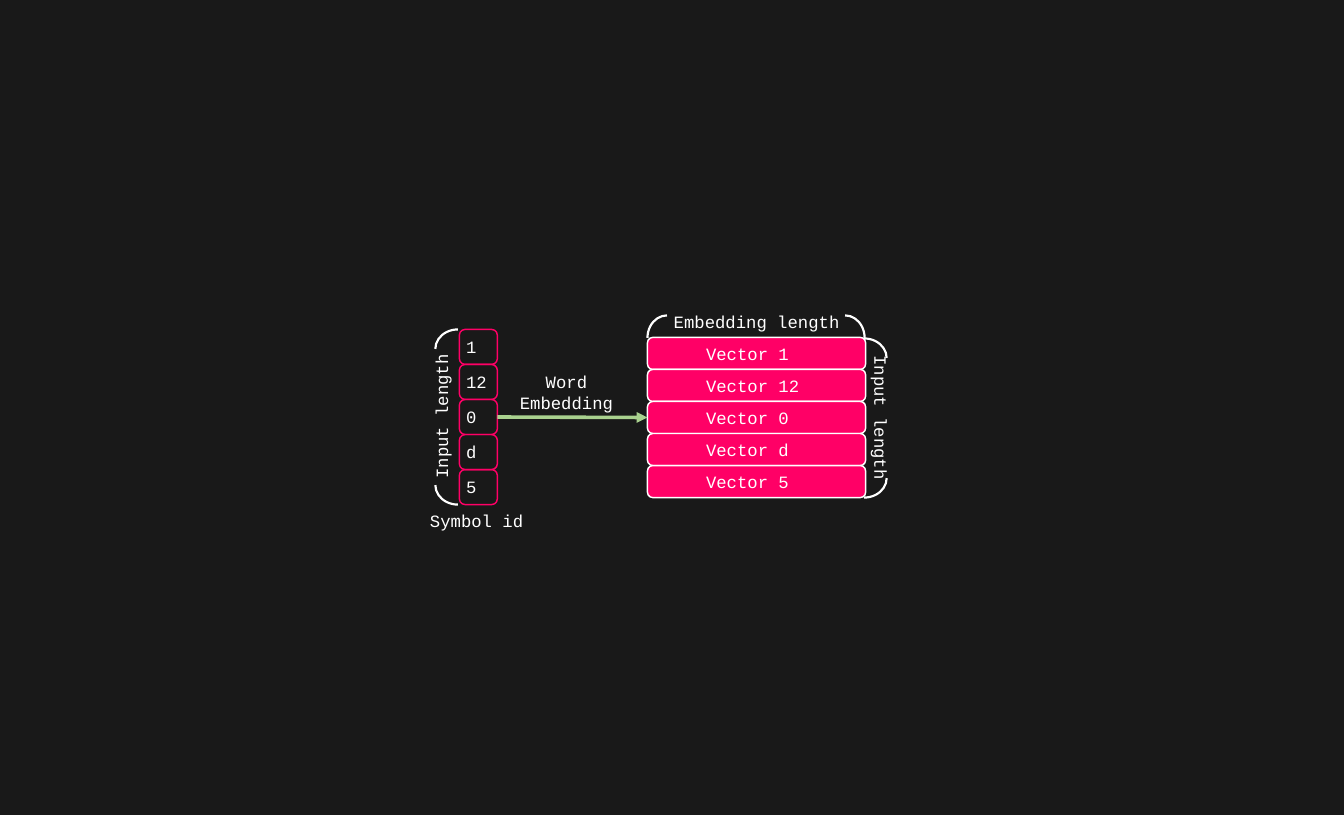
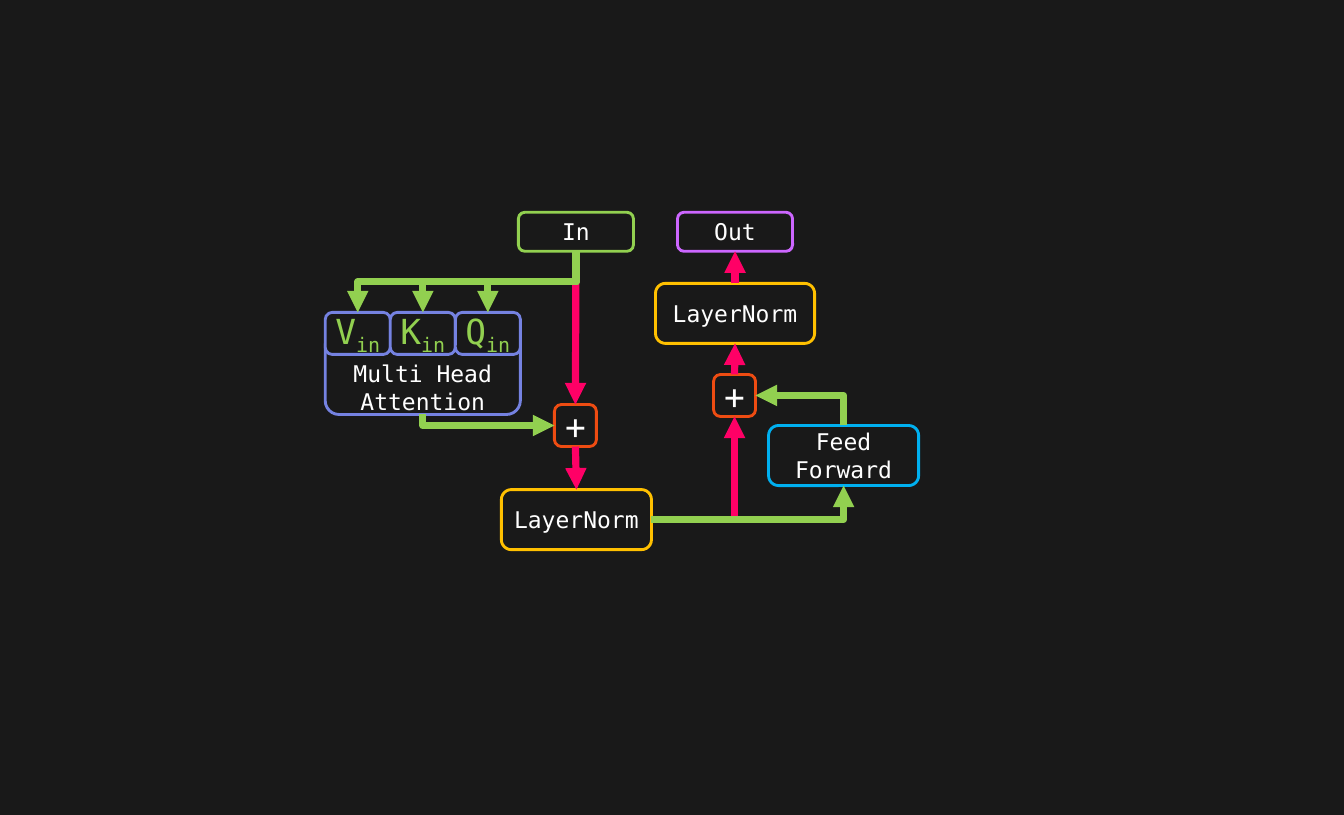
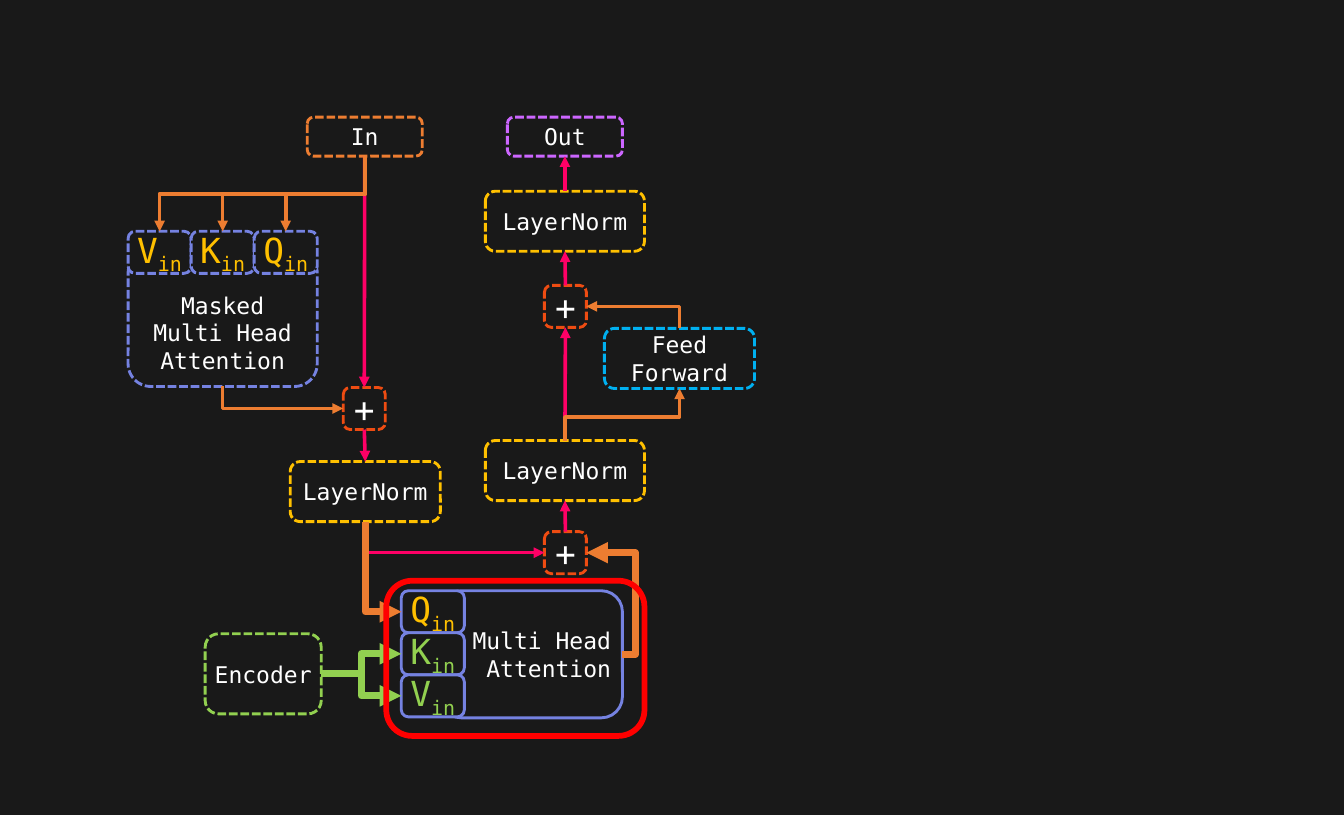
from lxml.etree import SubElement
from pptx import Presentation
from pptx.dml.color import RGBColor
from pptx.enum.dml import MSO_LINE
from pptx.enum.shapes import MSO_CONNECTOR, MSO_SHAPE
from pptx.enum.text import MSO_ANCHOR, PP_ALIGN
from pptx.oxml.ns import qn
from pptx.util import Pt

PX = 17687
ROUND, ARC = MSO_SHAPE.ROUNDED_RECTANGLE, MSO_SHAPE.ARC
ELBOW, DASH = MSO_CONNECTOR.ELBOW, MSO_LINE.SQUARE_DOT
MIDDLE = MSO_ANCHOR.MIDDLE
LEFT, CENTER, RIGHT = PP_ALIGN.LEFT, PP_ALIGN.CENTER, PP_ALIGN.RIGHT
TOP, WEST, BASE, EAST = range(4)
DARK, WHITE, PINK, GREEN = "191919", "FFFFFF", "FF0066", "92D050"
ORANGE, GOLD, BLUE, VIOLET = "ED7D31", "FFC000", "7582E1", "CC66FF"
RUST, SKY, RED, LIME = "EE4C12", "00B0F0", "FF0000", "A9D18E"
rgb = RGBColor.from_string

prs = Presentation()
prs.slide_width, prs.slide_height = 1343 * PX, 814 * PX
back = prs.slide_master.background.fill
back.solid()
back.fore_color.rgb = rgb(DARK)
blank = prs.slide_layouts[6]
plain = {"kind": ROUND, "fill": None, "pts": 4, "dash": None, "align": CENTER,
         "size": 32, "face": "DejaVu Sans Mono", "tint": WHITE, "pad": {},
         "turn": 0, "flip": False}


def box(text, x, y, w, h, edge=None, **look):
    look = plain | look
    shape = slide.shapes.add_shape(look["kind"], x * PX, y * PX, w * PX, h * PX)
    shape.shadow.inherit = False
    shape.rotation = look["turn"]
    if look["flip"]:
        shape._element.spPr.find(qn("a:xfrm")).set("flipH", "1")
    for part, tint in ((shape.fill, look["fill"]), (shape.line.fill, edge)):
        if tint:
            part.solid()
            part.fore_color.rgb = rgb(tint)
        else:
            part.background()
    if edge:
        shape.line.width = Pt(look["pts"])
        shape.line.dash_style = look["dash"]
    frame = shape.text_frame
    frame.word_wrap = True
    frame.vertical_anchor = MIDDLE
    for side, gap in look["pad"].items():
        setattr(frame, "margin_" + side, gap * PX)
    para = frame.paragraphs[0]
    para.alignment = look["align"]
    for level, word in enumerate(text.split("_") if text else []):
        run = para.add_run()
        run.text = word
        for key, value in {"size": Pt(look["size"]), "name": look["face"]}.items():
            setattr(run.font, key, value)
        run.font.color.rgb = rgb(look["tint"])
        if level:
            run._r.get_or_add_rPr().set("baseline", "-25000")
    return shape


def link(start, exit, end, entry, tint, pts, bend=50):
    line = slide.shapes.add_connector(ELBOW, 0, 0, 0, 0)
    line.begin_connect(start, exit)
    line.end_connect(end, entry)
    dx, dy = line.end_x - line.begin_x, line.end_y - line.begin_y
    props = line._element.spPr
    geom = props.find(qn("a:prstGeom"))
    if min(abs(dx), abs(dy)) < 5 * PX:
        geom.set("prst", "line")
    else:
        if (exit - entry) % 2:
            geom.set("prst", "bentConnector2")
        elif bend != 50:
            SubElement(geom.find(qn("a:avLst")), qn("a:gd"),
                       name="adj1", fmla=f"val {round(bend * 1000)}")
        if exit in (TOP, BASE):
            wide, high = line.width, line.height
            line.left += (wide - high) // 2
            line.top += (high - wide) // 2
            line.width, line.height = high, wide
            xfrm = props.find(qn("a:xfrm"))
            xfrm.set("rot", "16200000" if dx * dy > 0 else "5400000")
            xfrm.set("flipH", str(int(dx > 0)))
            xfrm.set("flipV", str(int(dy < 0)))
    line.line.width = Pt(pts)
    line.line.color.rgb = rgb(tint)
    SubElement(props.find(qn("a:ln")), qn("a:tailEnd"), type="triangle")
    SubElement(props, qn("a:effectLst"))


slide = prs.slides.add_slide(blank)
code = {"size": 24, "face": "Courier New", "pts": 2}
cells, rows = [], []
for i, name in enumerate(["1", "12", "0", "d", "5"]):
    cells.append(box(name, 459, 329 + 35 * i, 38, 35, PINK, align=LEFT, **code))
    rows.append(box("Vector " + name, 647, 337 + 32 * i, 218, 32, WHITE,
                    fill=PINK, align=LEFT, pad={"left": 57}, **code))
for text, x, y, w, h, turn, align in [
    ("Embedding length", 647, 305, 218, 32, 0, CENTER),
    ("Input length", 349, 400, 184, 32, 270, CENTER),
    ("Input length", 809, 401, 143, 32, 90, CENTER),
    ("Word Embedding", 511, 363, 110, 57, 0, CENTER),
    ("Symbol id", 423, 504, 109, 32, 0, LEFT),
]:
    box(text, x, y, w, h, turn=turn, align=align, **code)
for x, y, turn, flip in [
    (825, 315, 0, False), (647, 315, 0, True),
    (438, 326, 270, False), (438, 462, 270, True),
    (844, 455, 90, False), (844, 335, 90, True),
]:
    box("", x, y, 39, 45, WHITE, kind=ARC, pts=3, turn=turn, flip=flip)
link(cells[2], EAST, rows[2], WEST, LIME, 5)

slide = prs.slides.add_slide(blank)
source = box("In", 518, 212, 115, 39, GREEN)
out = box("Out", 677, 212, 115, 39, VIOLET)
heads = box("Multi Head Attention", 325, 331, 195, 83, BLUE, pad={"top": 31})
feed = box("Feed Forward", 768, 425, 150, 60, SKY)
add = box("+", 554, 404, 42, 42, RUST, size=48)
norm = box("LayerNorm", 501, 489, 150, 60, GOLD)
sum_up = box("+", 713, 374, 42, 42, RUST, size=48)
last = box("LayerNorm", 655, 283, 159, 60, GOLD)
ports = [box(name + "_in", 325 + 65 * i, 312, 65, 42, BLUE, fill=DARK, size=48, tint=GREEN)
         for i, name in enumerate("VKQ")]
for ends in [
    (source, BASE, add, TOP), (add, BASE, norm, TOP), (norm, EAST, sum_up, BASE),
    (sum_up, TOP, last, BASE), (last, TOP, out, BASE),
]:
    link(*ends, PINK, 10)
for ends in [
    *((source, BASE, port, TOP) for port in ports),
    (heads, BASE, add, WEST), (norm, EAST, feed, BASE), (feed, TOP, sum_up, EAST),
]:
    link(*ends, GREEN, 10)

slide = prs.slides.add_slide(blank)
dots = {"dash": DASH}
source = box("In", 307, 117, 115, 39, ORANGE, **dots)
out = box("Out", 507, 117, 115, 39, VIOLET, **dots)
feed = box("Feed Forward", 604, 328, 150, 60, SKY, **dots)
coder = box("Encoder", 205, 633, 116, 80, GREEN, **dots)
norm = box("LayerNorm", 290, 461, 150, 60, GOLD, **dots)
mid, last = [box("LayerNorm", 485, y, 159, 60, GOLD, **dots) for y in (440, 191)]
add, cross, sum_up = [box("+", x, y, 42, 42, RUST, size=48, **dots)
                      for x, y in ((343, 387), (544, 531), (544, 285))]
masked = box("Masked Multi Head Attention", 128, 250, 189, 136, BLUE,
             pad={"top": 31}, **dots)
heads = box("Multi Head Attention", 440, 590, 182, 127, BLUE, align=RIGHT)
ports = [box(name + "_in", 128 + 63 * i, 231, 63, 42, BLUE, fill=DARK, size=48,
             tint=GOLD, **dots) for i, name in enumerate("VKQ")]
query, key, value = [
    box(name + "_in", 401, 590 + 42 * i, 63, 42, BLUE, fill=DARK, size=48, tint=tint)
    for i, (name, tint) in enumerate(zip("QKV", (GOLD, GREEN, GREEN)))]
for ends in [
    (source, BASE, add, TOP), (add, BASE, norm, TOP), (norm, BASE, cross, WEST),
    (cross, TOP, mid, BASE), (mid, TOP, sum_up, BASE), (sum_up, TOP, last, BASE),
    (last, TOP, out, BASE),
]:
    link(*ends, PINK, 5)
for ends in [
    *((source, BASE, port, TOP) for port in ports),
    (masked, BASE, add, WEST), (feed, TOP, sum_up, EAST),
]:
    link(*ends, ORANGE, 5)
link(mid, TOP, feed, BASE, ORANGE, 5, 45.1)
link(norm, BASE, query, WEST, ORANGE, 10)
link(heads, EAST, cross, EAST, ORANGE, 10, -35.4)
for port in (key, value):
    link(coder, EAST, port, WEST, GREEN, 10)
box("", 386, 580, 258, 155, RED, pts=8)

prs.save("out.pptx")
